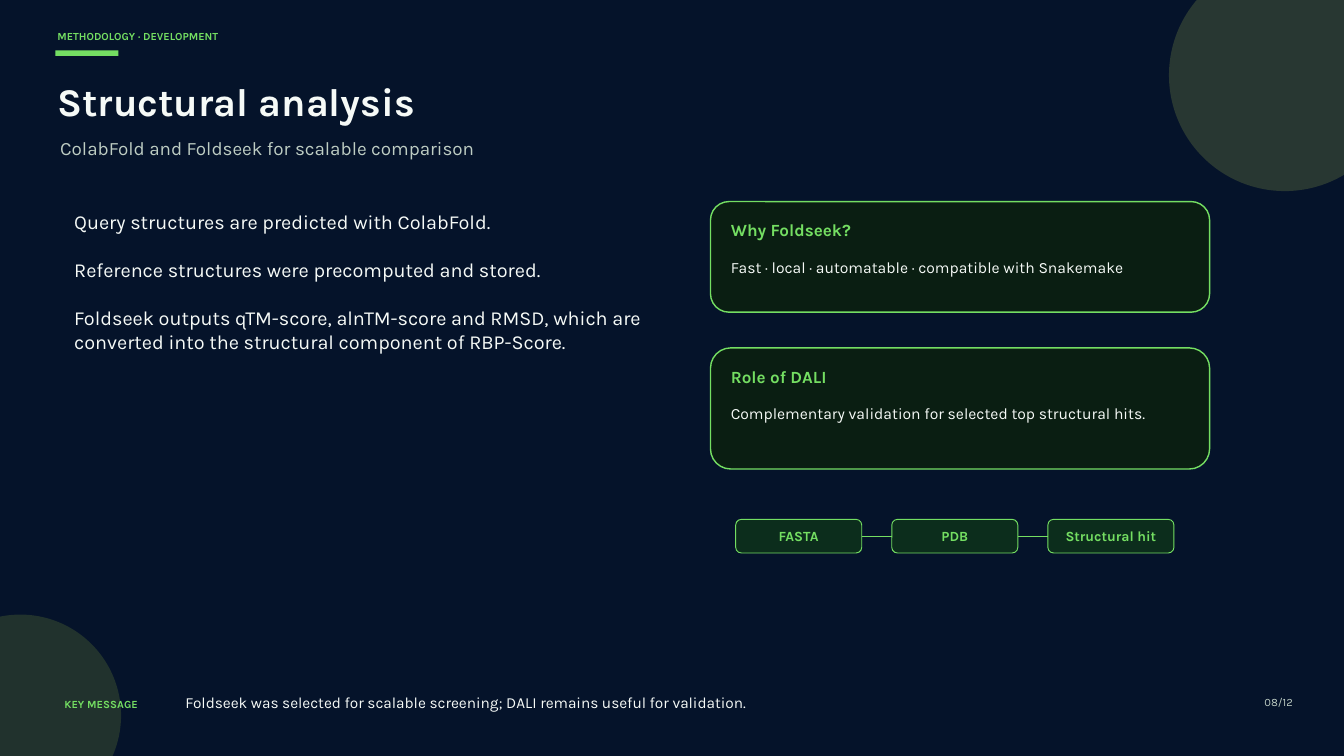
"""Build the structural analysis slide with its cards and file flow."""
from typing import NamedTuple

from lxml import etree
from pptx import Presentation
from pptx import util as u
from pptx.dml.color import RGBColor
from pptx.enum import shapes, text
from pptx.oxml.ns import qn

PX = 9525
GREEN, WHITE, GREY = "74DE62", "F6FAF7", "BECDC3"
KIND = shapes.MSO_SHAPE


class Box(NamedTuple):
    x: int
    y: int
    w: int
    h: int


class Label(NamedTuple):
    box: Box
    words: list[str]
    size: float
    lead: float
    color: str
    bold: bool = False
    align: text.PP_ALIGN = text.PP_ALIGN.LEFT


class Card(NamedTuple):
    y: int
    h: int
    title: str
    body: str


def rgb(code: str) -> RGBColor:
    return RGBColor.from_string(code)


def emu(box: Box) -> list[int]:
    return [v * PX for v in box]


def write(frame, label: Label) -> None:
    frame.word_wrap = True
    for i, words in enumerate(label.words):
        para = frame.paragraphs[0] if i == 0 else frame.add_paragraph()
        para.text = words
        para.alignment = label.align
        para.line_spacing = u.Pt(label.lead)
        if i:
            para.space_before = u.Pt(label.lead)
        font = para.font
        font.name, font.size, font.bold = "Karla", u.Pt(label.size), label.bold
        font.color.rgb = rgb(label.color)


def inset(frame, size: int) -> None:
    frame.margin_left = frame.margin_right = size * PX
    frame.margin_top = frame.margin_bottom = size * PX


def put(slide, label: Label) -> None:
    frame = slide.shapes.add_textbox(*emu(label.box)).text_frame
    inset(frame, 0)
    write(frame, label)


def draw(slide, kind, box: Box, fill: str, line: str = "", width: float = 1):
    shape = slide.shapes.add_shape(kind, *emu(box))
    shape.shadow.inherit = False
    shape.fill.solid()
    shape.fill.fore_color.rgb = rgb(fill)
    if line:
        shape.line.color.rgb = rgb(line)
        shape.line.width = u.Pt(width)
    else:
        shape.line.fill.background()
    return shape


def panel(slide, card: Card) -> None:
    draw(slide, KIND.ROUNDED_RECTANGLE, Box(1015, card.y, 713, card.h),
         "0A1E12", GREEN, 1.5)
    put(slide, Label(Box(1044, card.y + 26, 656, 36), [card.title],
                     18.3, 22, GREEN, True))
    put(slide, Label(Box(1044, card.y + 80, 656, card.h - 89), [card.body],
                     16.8, 20.2, WHITE))


def chip(slide, box: Box, name: str):
    shape = draw(slide, KIND.ROUNDED_RECTANGLE, box, "0C2D1C", GREEN)
    frame = shape.text_frame
    inset(frame, 6)
    frame.vertical_anchor = text.MSO_ANCHOR.MIDDLE
    write(frame, Label(box, [name], 15, 18, GREEN, True,
                       text.PP_ALIGN.CENTER))
    return shape


def join(slide, left, right) -> None:
    line = slide.shapes.add_connector(shapes.MSO_CONNECTOR.STRAIGHT, 0, 0, 0, 0)
    line.begin_connect(left, 3)
    line.end_connect(right, 1)
    line.line.color.rgb = rgb(GREEN)
    line.line.width = u.Pt(0.75)
    etree.SubElement(line._element.spPr, qn("a:effectLst"))


LABELS = [
    Label(Box(82, 42, 642, 25), ["METHODOLOGY · DEVELOPMENT"],
          11.6, 13.9, GREEN, True),
    Label(Box(82, 110, 1549, 67), ["Structural analysis"],
          42, 50.4, WHITE, True),
    Label(Box(86, 195, 1607, 51),
          ["ColabFold and Foldseek for scalable comparison"], 20.2, 24.3, GREY),
    Label(Box(106, 300, 812, 238),
          ["Query structures are predicted with ColabFold.",
           "Reference structures were precomputed and stored.",
           "Foldseek outputs qTM-score, alnTM-score and RMSD, which are "
           "converted into the structural component of RBP-Score."],
          21.3, 25.6, WHITE),
    Label(Box(92, 997, 204, 23), ["KEY MESSAGE"], 11.7, 14, GREEN, True),
    Label(Box(265, 990, 1535, 39),
          ["Foldseek was selected for scalable screening; "
           "DALI remains useful for validation."], 16.5, 19.8, WHITE),
    Label(Box(1752, 993, 95, 22), ["08/12"], 12, 14.4, GREY,
          align=text.PP_ALIGN.RIGHT),
]
CARDS = [
    Card(288, 158, "Why Foldseek?",
         "Fast · local · automatable · compatible with Snakemake"),
    Card(497, 173, "Role of DALI",
         "Complementary validation for selected top structural hits."),
]
STEPS = ["FASTA", "PDB", "Structural hit"]


def main() -> None:
    deck = Presentation()
    deck.slide_width, deck.slide_height = 1920 * PX, 1080 * PX
    slide = deck.slides.add_slide(deck.slide_layouts[6])
    slide.background.fill.solid()
    slide.background.fill.fore_color.rgb = rgb("05132A")
    draw(slide, KIND.OVAL, Box(1670, -58, 331, 331), "283732")
    draw(slide, KIND.OVAL, Box(-115, 878, 288, 288), "21322D")
    draw(slide, KIND.RECTANGLE, Box(79, 72, 90, 8), GREEN)
    for label in LABELS:
        put(slide, label)
    for card in CARDS:
        panel(slide, card)
    chips = [chip(slide, Box(1051 + 223 * i, 742, 180, 48), name)
             for i, name in enumerate(STEPS)]
    for left, right in zip(chips, chips[1:]):
        join(slide, left, right)
    deck.save("out.pptx")


if __name__ == "__main__":
    main()
